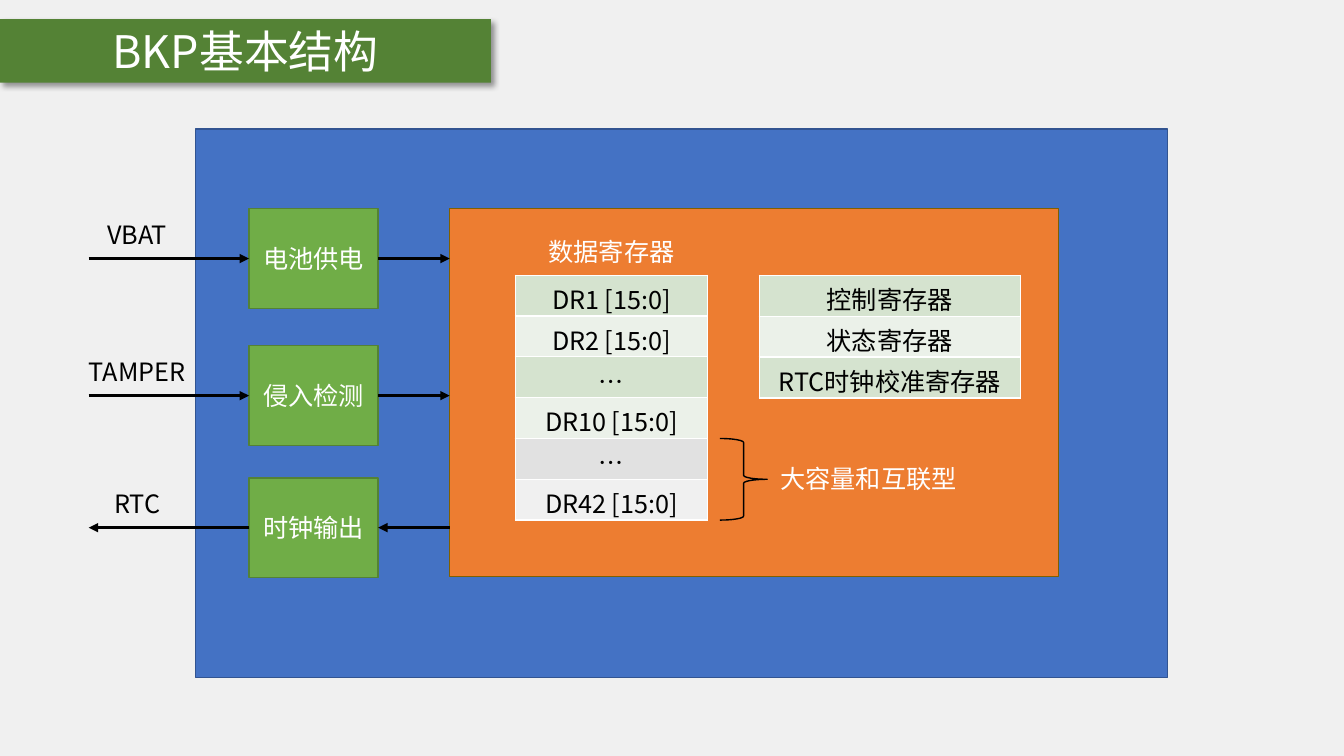
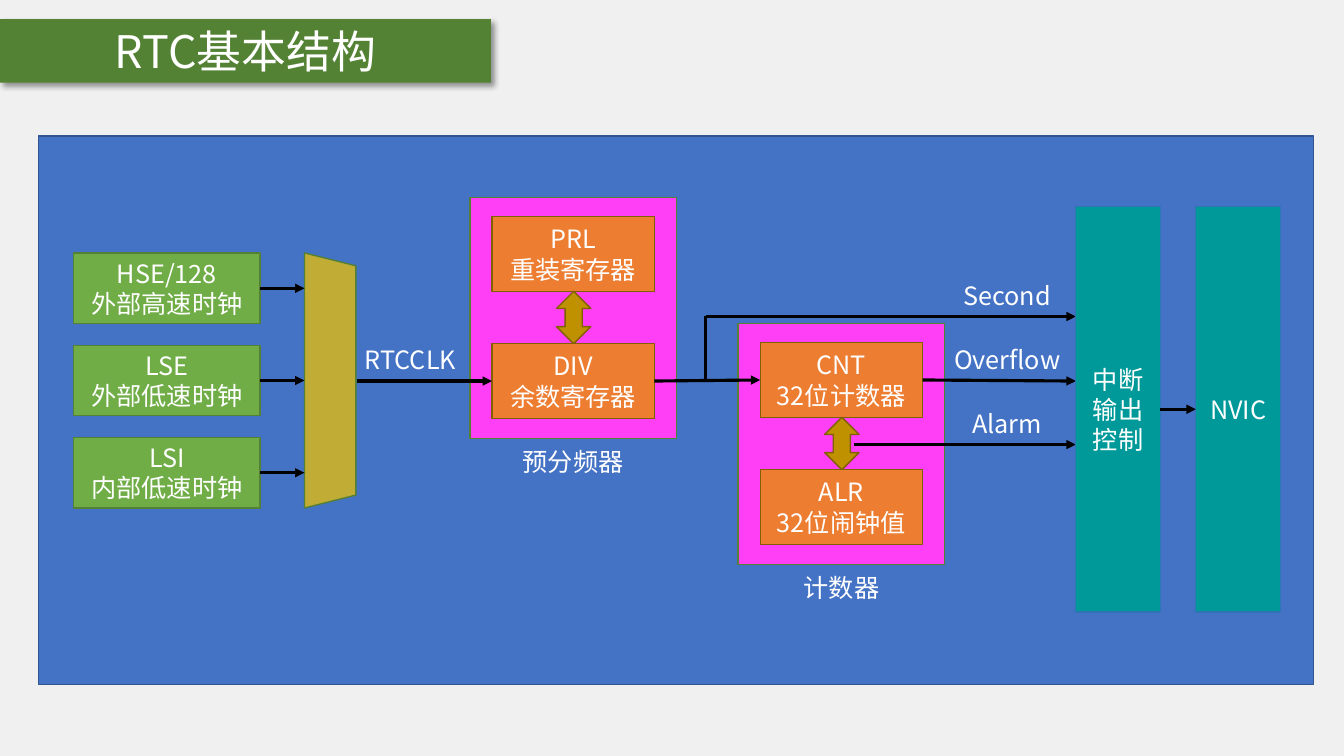
from lxml import etree
from pptx import Presentation
from pptx.dml.color import RGBColor
from pptx.enum.shapes import MSO_CONNECTOR, MSO_SHAPE
from pptx.enum.text import MSO_ANCHOR, MSO_AUTO_SIZE, PP_ALIGN
from pptx.oxml.ns import qn
from pptx.util import Inches, Pt

RECT, BRACE = MSO_SHAPE.RECTANGLE, MSO_SHAPE.RIGHT_BRACE
TRAP, DOUBLE = MSO_SHAPE.TRAPEZOID, MSO_SHAPE.UP_DOWN_ARROW
STRAIGHT = MSO_CONNECTOR.STRAIGHT
LEFT, CENTER, MIDDLE = PP_ALIGN.LEFT, PP_ALIGN.CENTER, MSO_ANCHOR.MIDDLE
GROW = MSO_AUTO_SIZE.SHAPE_TO_FIT_TEXT
WEST, EAST = 1, 3  # connection sites

FONT = "Noto Sans CJK SC"
WHITE, BLACK, PAPER = "FFFFFF", "000000", "F0F0F0"
# Styles: fill, outline
BAND = ("548235", None)
PANEL = ("4472C4", "325491")
GREEN = ("70AD47", "548235")
ORANGE = ("ED7D31", "806000")
PINK = ("FF3FF6", "548235")
GOLD = ("BF9000", "806000")
SAND = ("C1AD35", "538035")
TEAL = ("009999", "2E75B6")
BARE = (None, BLACK)
GREENS, GREYS = ("D5E3CF", "EBF1E9"), ("E1E1E1", "F0F0F0")

# Backup registers: pin, block, top of block, signal enters the chip
PINS = [
    ("VBAT", "电池供电", 2.07, True),
    ("TAMPER", "侵入检测", 3.43, True),
    ("RTC", "时钟输出", 4.74, False),
]
# left, top, width, height, row fills, rows
TABLES = [
    (5.11, 2.73, 1.91, 1.62, GREENS,
     ["DR1 [15:0]", "DR2 [15:0]", "…", "DR10 [15:0]"]),
    (5.11, 4.35, 1.91, 0.81, GREYS, ["…", "DR42 [15:0]"]),
    (7.53, 2.73, 2.59, 1.22, GREENS,
     ["控制寄存器", "状态寄存器", "RTC时钟校准寄存器"]),
]

# Real-time clock
CLOCKS = ["HSE/128\n外部高速时钟", "LSE\n外部低速时钟", "LSI\n内部低速时钟"]
# frame left, frame top, caption, upper block, lower block
GROUPS = [
    (4.66, 1.96, "预分频器", "PRL\n重装寄存器", "DIV\n余数寄存器"),
    (7.32, 3.21, "计数器", "CNT\n32位计数器", "ALR\n32位闹钟值"),
]
# name, start of arrow, height of arrow
EVENTS = [("Second", 7, 3.14), ("Overflow", 9.17, 3.78), ("Alarm", 8.47, 4.41)]
MAIN = 3.78  # height of the main signal path
IRQ = 10.67  # left side of the interrupt block


def rgb(code):
    return RGBColor.from_string(code)


def inch(*sizes):
    return [Inches(size) for size in sizes]


def write(frame, text, color, size=18, align=CENTER):
    frame.text = text
    for para in frame.paragraphs:
        para.alignment = align
        for run in para.runs:
            font = run.font
            font.size, font.name = Pt(size), FONT
            font.color.rgb = rgb(color)
            props = run._r.get_or_add_rPr()
            etree.SubElement(props, qn("a:ea"), typeface=FONT)


def block(slide, place, style, text="", kind=RECT, size=18):
    shape = slide.shapes.add_shape(kind, *inch(*place))
    shape.shadow.inherit = False
    fill, line = style
    if fill:
        shape.fill.solid()
        shape.fill.fore_color.rgb = rgb(fill)
    else:
        shape.fill.background()
    if line:
        shape.line.color.rgb = rgb(line)
        shape.line.width = Pt(1)
    else:
        shape.line.fill.background()
    if text:
        shape.text_frame.vertical_anchor = MIDDLE
        write(shape.text_frame, text, WHITE, size)
    return shape


def label(slide, left, top, width, text, color=WHITE, align=CENTER):
    box = slide.shapes.add_textbox(*inch(left, top, width, 0.4))
    box.text_frame.word_wrap = True
    box.text_frame.auto_size = GROW
    write(box.text_frame, text, color, align=align)


def wire(slide, start, end, arrow=True):
    """Draw a line between two ends, each a point or a (shape, site) pair."""
    spots = [(0, 0) if hasattr(e[0], "shape_type") else e for e in (start, end)]
    line = slide.shapes.add_connector(STRAIGHT, *inch(*spots[0], *spots[1]))
    if hasattr(start[0], "shape_type"):
        line.begin_connect(*start)
    if hasattr(end[0], "shape_type"):
        line.end_connect(*end)
    line.line.color.rgb = rgb(BLACK)
    line.line.width = Pt(2.25)
    props = line._element.spPr
    if arrow:
        etree.SubElement(props.find(qn("a:ln")), qn("a:tailEnd"), type="triangle")
    etree.SubElement(props, qn("a:effectLst"))


def edge(cell):
    """Give a cell thin white borders."""
    props = cell._tc.get_or_add_tcPr()
    for side in ("lnL", "lnR", "lnT", "lnB"):
        line = etree.SubElement(props, qn("a:" + side), w=str(Pt(1)))
        fill = etree.SubElement(line, qn("a:solidFill"))
        etree.SubElement(fill, qn("a:srgbClr"), val=WHITE)


def grid(slide, left, top, width, height, fills, rows):
    place = inch(left, top, width, height)
    table = slide.shapes.add_table(len(rows), 1, *place).table
    table.first_row = table.horz_banding = False
    for i, text in enumerate(rows):
        cell = table.cell(i, 0)
        edge(cell)
        cell.fill.solid()
        cell.fill.fore_color.rgb = rgb(fills[i % 2])
        write(cell.text_frame, text, BLACK)


def page(deck, title):
    slide = deck.slides.add_slide(deck.slide_layouts[6])
    slide.background.fill.solid()
    slide.background.fill.fore_color.rgb = rgb(PAPER)
    band = block(slide, (0, 0.19, 4.87, 0.63), BAND, title, size=32)
    glow = etree.SubElement(
        band._element.spPr.find(qn("a:effectLst")), qn("a:outerShdw"),
        blurRad=str(Pt(4)), dist=str(Pt(3)), dir="2700000",
        algn="tl", rotWithShape="0")
    tint = etree.SubElement(glow, qn("a:srgbClr"), val=BLACK)
    etree.SubElement(tint, qn("a:alpha"), val="40000")
    return slide


def backup(deck):
    slide = page(deck, "BKP基本结构")
    block(slide, (1.94, 1.28, 9.64, 5.44), PANEL)
    core = 4.46
    block(slide, (core, 2.07, 6.04, 3.65), ORANGE)
    for pin, text, top, inward in PINS:
        unit = block(slide, (2.47, top, 1.28, 0.99), GREEN, text)
        mid = top + 0.99 / 2
        outer = [(0.88, mid), (unit, WEST)]
        inner = [(unit, EAST), (core, mid)]
        for ends in (outer, inner):
            wire(slide, *(ends if inward else ends[::-1]))
        label(slide, 0.64, mid - 0.44, 1.44, pin, BLACK)
    for table in TABLES:
        grid(slide, *table)
    label(slide, 5.11, 2.3, 1.91, "数据寄存器")
    block(slide, (7.14, 4.35, 0.47, 0.81), BARE, kind=BRACE)
    label(slide, 7.64, 4.55, 2.18, "大容量和互联型", align=LEFT)


def clock(deck):
    slide = page(deck, "RTC基本结构")
    block(slide, (0.38, 1.35, 12.65, 5.44), PANEL)

    mux = block(slide, (2.01, 3.52, 2.53, 0.51), SAND, kind=TRAP)
    mux.rotation = 90
    for i, text in enumerate(CLOCKS):
        top = 2.51 + i * (4.34 - 2.51) / 2
        source = block(slide, (0.73, top, 1.85, 0.7), GREEN, text)
        wire(slide, (source, EAST), (3.02, top + 0.35))

    units = []
    for left, top, name, upper, lower in GROUPS:
        block(slide, (left, top, 2.05, 2.39), PINK)
        for text, drop in ((upper, 0.19), (lower, 1.45)):
            place = (left + 0.22, top + drop, 1.61, 0.74)
            units.append(block(slide, place, ORANGE, text))
        block(slide, (left + 0.86, top + 0.93, 0.34, 0.52), GOLD, kind=DOUBLE)
        label(slide, left + 0.07, top + 2.42, 1.91, name)
    _, div, cnt, _ = units

    label(slide, 3.35, MAIN - 0.41, 1.44, "RTCCLK")
    wire(slide, (3.54, MAIN), (div, WEST))
    wire(slide, (div, EAST), (cnt, WEST))
    wire(slide, (7, 3.14), (7, MAIN), arrow=False)
    for name, start, high in EVENTS:
        begin = (cnt, EAST) if name == "Overflow" else (start, high)
        wire(slide, begin, (IRQ, high))
        label(slide, 9.27, high - 0.41, 1.44, name)

    gate, nvic = [
        block(slide, (left, 2.05, 0.84, 4.02), TEAL, text)
        for left, text in ((IRQ, "中断\n输出\n控制"), (11.86, "NVIC"))
    ]
    wire(slide, (gate, EAST), (nvic, WEST))


def main():
    deck = Presentation()
    deck.slide_width, deck.slide_height = inch(13.33, 7.5)
    backup(deck)
    clock(deck)
    deck.save("out.pptx")


if __name__ == "__main__":
    main()
